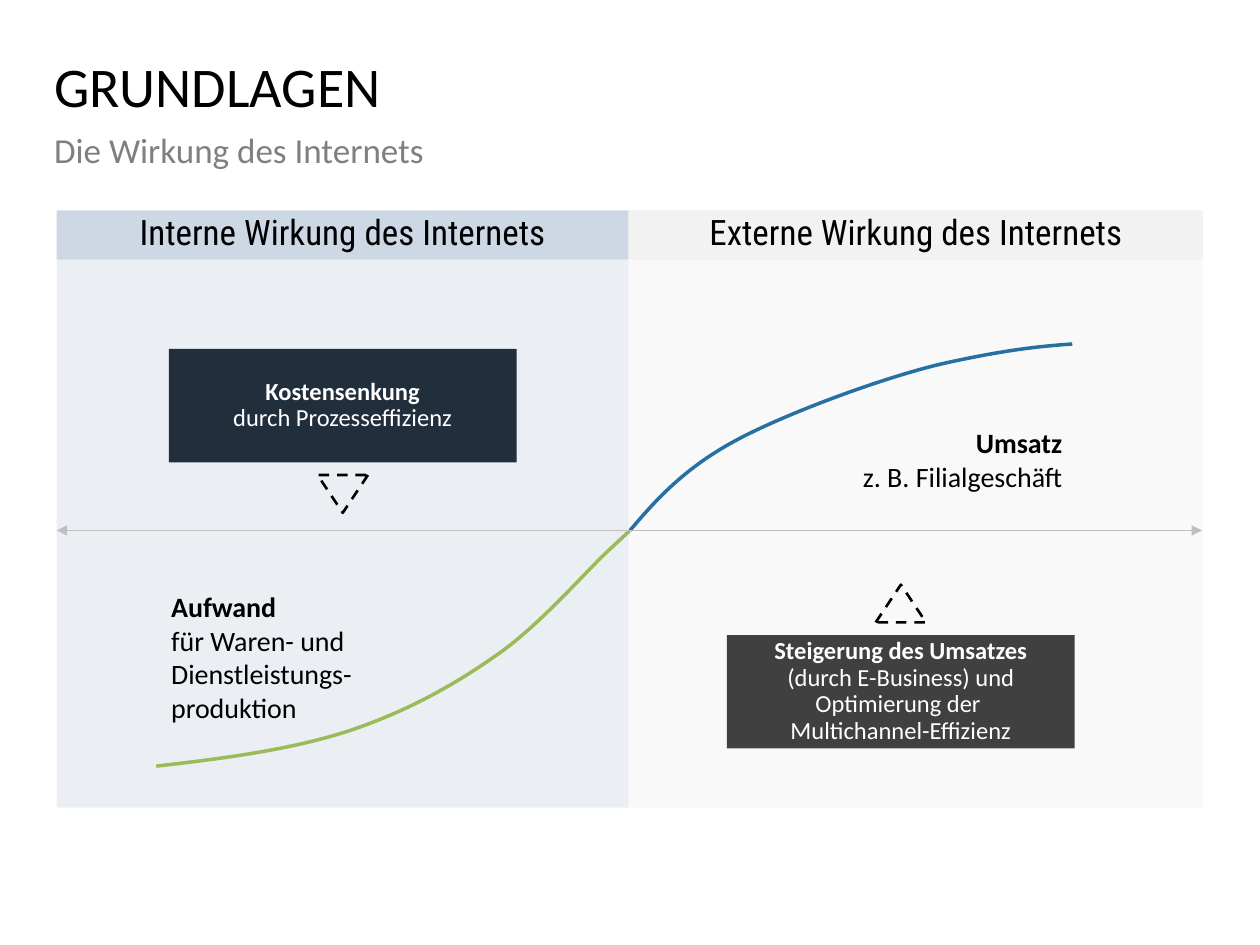
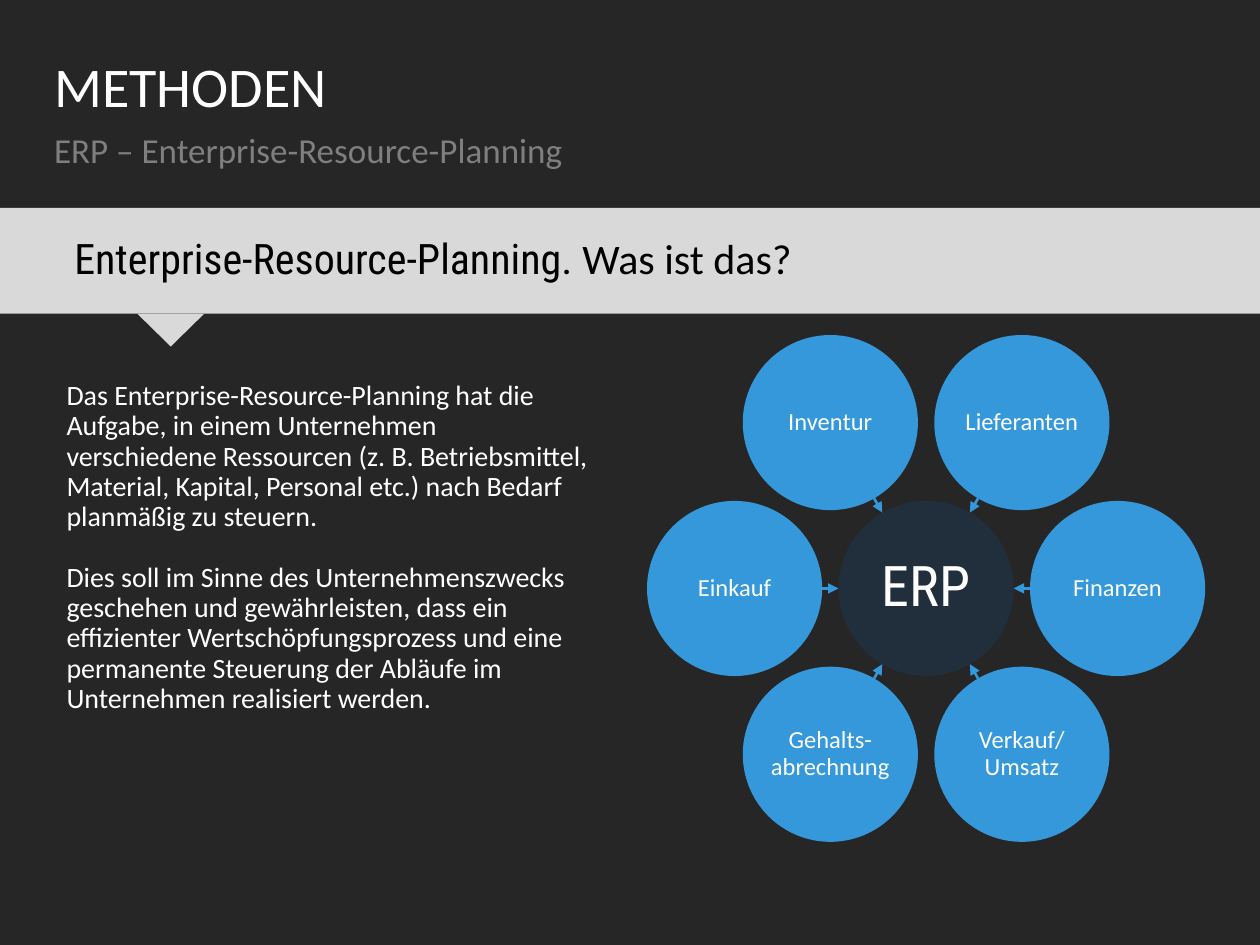
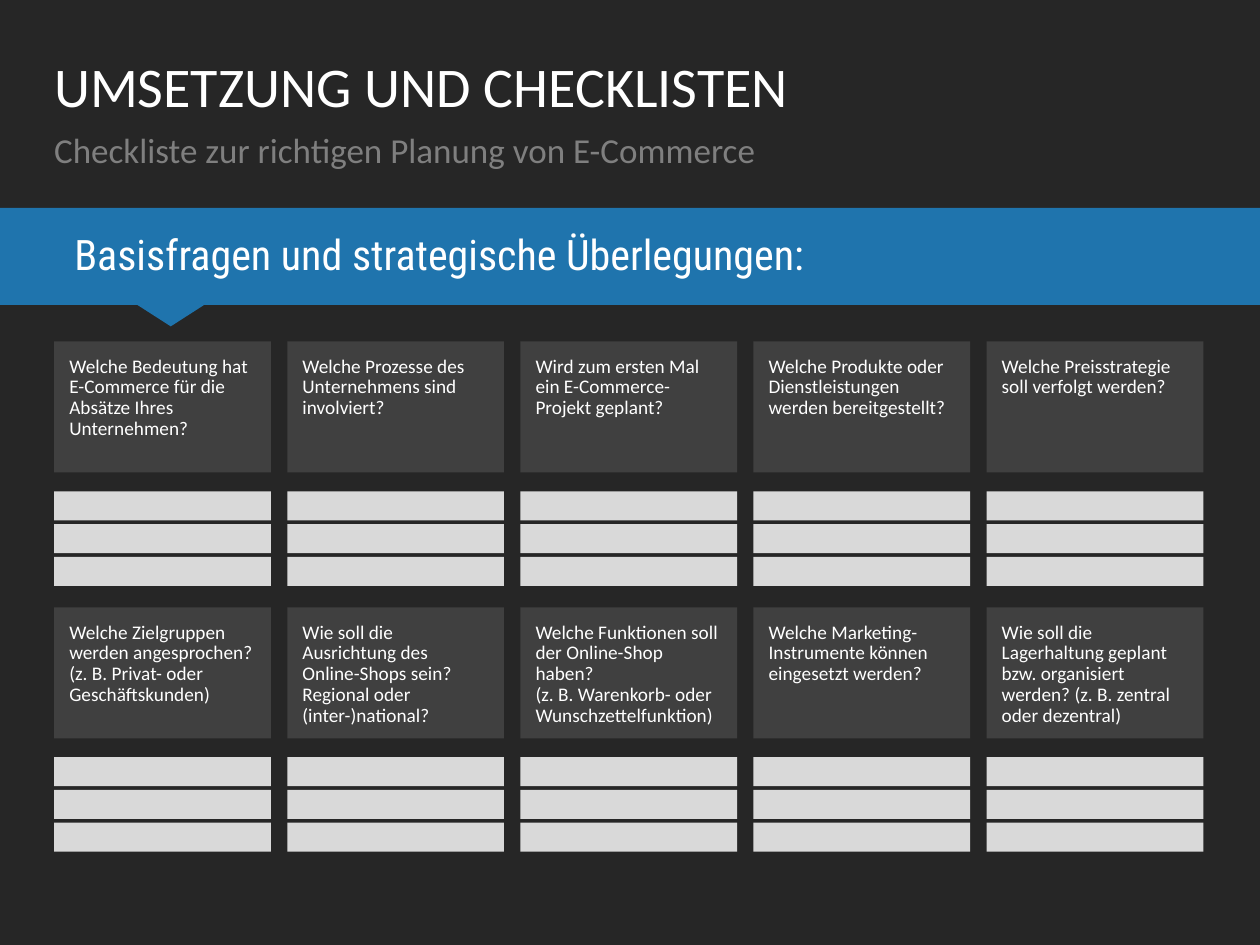
from math import cos, radians, sin

from lxml.etree import SubElement
from pptx import Presentation
from pptx.dml.color import RGBColor
from pptx.enum.dml import MSO_LINE_DASH_STYLE as Dash
from pptx.enum.shapes import MSO_CONNECTOR as Connector, MSO_SHAPE as Shape
from pptx.enum.text import MSO_ANCHOR as Anchor, MSO_AUTO_SIZE as AutoSize, PP_ALIGN as Align
from pptx.oxml.ns import qn
from pptx.util import Inches, Pt

COLORS = {
    "white": "FFFFFF", "black": "000000", "night": "262626", "card": "404040",
    "subtitle": "7F7F7F", "axis": "BFBFBF", "light": "D9D9D9", "external": "F2F2F2",
    "internal": "CDD8E4", "navy": "212E3C", "sky": "3498DB", "blue": "1F74AD",
    "revenue": "2670A2", "expense": "9BBB59",
}
BODY_FONT = "Calibri"
ACCENT_FONT = "Roboto Condensed"
TITLE_LEFT, TITLE_WIDTH = 0.43, 9.13
BAND_TOP = 1.65


def rgb(name):
    """Return the colour stored under a name."""
    return RGBColor.from_string(COLORS[name])


def write_text(shape, paragraphs, size, color, font=BODY_FONT, align=Align.LEFT,
               anchor=Anchor.TOP, spacing=1.0, gap=0, margins=(0, 0)):
    """Fill a shape with paragraphs, each a string or a list of (text, format) runs."""
    frame = shape.text_frame
    frame.word_wrap = True
    frame.auto_size = AutoSize.NONE
    frame.vertical_anchor = anchor
    frame.margin_left = frame.margin_right = Inches(margins[0])
    frame.margin_top = frame.margin_bottom = Inches(margins[1])
    for index, runs in enumerate(paragraphs):
        paragraph = frame.add_paragraph() if index else frame.paragraphs[0]
        paragraph.alignment = align
        paragraph.line_spacing = spacing
        paragraph.space_before = Pt(gap if index else 0)
        for text, style in [(runs, {})] if isinstance(runs, str) else runs:
            for number, part in enumerate(text.split("\n")):
                if number:
                    paragraph.add_line_break()
                run = paragraph.add_run()
                run.text = part
                run.font.size = Pt(size)
                run.font.name = style.get("font", font)
                run.font.bold = style.get("bold", False)
                run.font.color.rgb = rgb(color)


def headed(heading, detail):
    """Return a bold heading paragraph followed by a plain one."""
    return [[(heading, {"bold": True})], detail]


def add_text(slide, box, paragraphs, **style):
    """Add a text box."""
    label = slide.shapes.add_textbox(*map(Inches, box))
    write_text(label, paragraphs, **style)


def add_panel(slide, box, fill, kind=Shape.RECTANGLE, opacity=None):
    """Add a flat filled shape without an outline."""
    panel = slide.shapes.add_shape(kind, *map(Inches, box))
    panel.shadow.inherit = False
    panel.line.fill.background()
    panel.fill.solid()
    panel.fill.fore_color.rgb = rgb(fill)
    if opacity is not None:
        tint = panel._element.spPr.find(".//" + qn("a:srgbClr"))
        SubElement(tint, qn("a:alpha")).set("val", str(opacity * 1000))
    return panel


def add_marker(slide, left, top, rotation=0):
    """Add a dashed triangle outline."""
    marker = slide.shapes.add_shape(Shape.ISOSCELES_TRIANGLE, *map(Inches, (left, top, 0.4, 0.3)))
    marker.shadow.inherit = False
    marker.rotation = rotation
    marker.fill.background()
    marker.line.color.rgb = rgb("black")
    marker.line.width = Pt(1.5)
    marker.line.dash_style = Dash.DASH


def add_arrow(slide, start, end, color, width, ends=("tailEnd",)):
    """Add a straight line with triangular arrowheads at the given ends."""
    arrow = slide.shapes.add_connector(Connector.STRAIGHT, *map(Inches, (*start, *end)))
    arrow.line.color.rgb = rgb(color)
    arrow.line.width = Pt(width)
    properties = arrow._element.spPr
    for end_name in ends:
        SubElement(properties.find(qn("a:ln")), qn("a:" + end_name)).set("type", "triangle")
    SubElement(properties, qn("a:effectLst"))


def add_curve(slide, points, color):
    """Add an open Bézier curve from a start point and triples of control points."""
    start, *controls = [tuple(map(Inches, point)) for point in points]
    builder = slide.shapes.build_freeform(*start)
    builder.add_line_segments(controls, close=False)
    curve = builder.convert_to_shape()
    curve.shadow.inherit = False
    curve.fill.background()
    curve.line.color.rgb = rgb(color)
    curve.line.width = Pt(2)
    outline = curve._element.find(".//" + qn("a:path"))
    segments = outline.findall(qn("a:lnTo"))
    for first in range(0, len(segments), 3):
        bezier = SubElement(outline, qn("a:cubicBezTo"))
        for segment in segments[first:first + 3]:
            bezier.append(segment[0])
            outline.remove(segment)


def add_titled_slide(deck, title, subtitle, background="night", title_color="white"):
    """Add a slide with its background, title and subtitle."""
    slide = deck.slides.add_slide(deck.slide_layouts[5])
    slide.background.fill.solid()
    slide.background.fill.fore_color.rgb = rgb(background)
    heading = slide.shapes.title
    heading.left, heading.top, heading.width, heading.height = map(
        Inches, (TITLE_LEFT, 0.47, TITLE_WIDTH, 0.59))
    write_text(heading, [title], size=32, color=title_color, spacing=0.9)
    add_text(slide, (TITLE_LEFT, 1.06, TITLE_WIDTH, 0.59), [subtitle],
             size=20, color="subtitle", spacing=0.9)
    return slide


def add_band(slide, runs, height, pointer_height, fill, color):
    """Add a full-width band with a pointer below it."""
    band = add_panel(slide, (0, BAND_TOP, 10, height), fill)
    write_text(band, [runs], size=24, color=color, font=ACCENT_FONT,
               anchor=Anchor.MIDDLE, spacing=0.9, margins=(0.59, 0.05))
    pointer = add_panel(slide, (1.09, BAND_TOP + height, 0.53, pointer_height),
                        fill, Shape.ISOSCELES_TRIANGLE)
    pointer.rotation = 180


def add_effect_box(slide, left, top, fill, heading, detail):
    """Add a dark box naming an effect."""
    effect = add_panel(slide, (left, top, 2.76, 0.9), fill)
    write_text(effect, headed(heading, detail), size=14, color="white", align=Align.CENTER,
               anchor=Anchor.MIDDLE, spacing=0.9, margins=(0.04, 0.04))


def add_circle(slide, center, diameter, fill, text, **style):
    """Add a labelled circle around a centre."""
    box = (center[0] - diameter / 2, center[1] - diameter / 2, diameter, diameter)
    circle = add_panel(slide, box, fill, Shape.OVAL)
    write_text(circle, [text], color="white", align=Align.CENTER, anchor=Anchor.MIDDLE,
               spacing=0.9, **style)


def add_wheel(slide, center, hub, departments):
    """Add a hub with departments around it and arrows pointing inwards."""
    diameter, orbit = 1.39, 1.52

    def at(angle, radius):
        """Return the point at an angle and radius from the hub."""
        return (center[0] + radius * cos(radians(angle)),
                center[1] + radius * sin(radians(angle)))

    add_circle(slide, center, diameter, "navy", hub, size=32, font=ACCENT_FONT)
    step = 360 / len(departments)
    for index, department in enumerate(departments):
        add_circle(slide, at(index * step, orbit), diameter, "sky", department, size=14)
    for index in range(len(departments)):
        angle = index * step
        add_arrow(slide, at(angle, orbit - diameter / 2), at(angle, diameter / 2), "sky", 1.5)


def add_question(slide, left, top, paragraphs):
    """Add a question card with three answer lines below it."""
    width = 1.72
    card = add_panel(slide, (left, top, width, 1.04), "card")
    write_text(card, paragraphs, size=11, color="white", spacing=0.9, margins=(0.12, 0.12))
    for line in range(3):
        add_panel(slide, (left, top + 1.19 + line * 0.26, width, 0.23), "light")


def build_basics(deck):
    """Build the slide on the internal and external effect of the internet."""
    slide = add_titled_slide(deck, "GRUNDLAGEN", "Die Wirkung des Internets", "white", "black")
    halves = [
        (0.45, 4.54, "internal", "Interne Wirkung des Internets"),
        (4.99, 4.56, "external", "Externe Wirkung des Internets"),
    ]
    for left, width, fill, heading in halves:
        add_panel(slide, (left, 2.06, width, 4.35), fill, opacity=40)
        header = add_panel(slide, (left, 1.67, width, 0.39), fill)
        write_text(header, [heading], size=20, color="black", font=ACCENT_FONT,
                   align=Align.CENTER)
    add_curve(slide, [(1.24, 6.08), (1.77, 6.02), (2.31, 5.95), (2.77, 5.8),
                      (3.22, 5.65), (3.6, 5.44), (3.94, 5.2),
                      (4.29, 4.96), (4.67, 4.51), (4.85, 4.35),
                      (5.02, 4.19), (5, 4.21), (4.98, 4.23)], "expense")
    add_curve(slide, [(5, 4.21), (5.22, 3.95), (5.45, 3.7), (5.87, 3.48),
                      (6.29, 3.26), (7.06, 2.98), (7.51, 2.88),
                      (7.97, 2.78), (8.23, 2.75), (8.51, 2.73)], "revenue")
    label_style = {"size": 16, "color": "black", "margins": (0.1, 0.05)}
    add_text(slide, (1.26, 4.63, 2.18, 1.18),
             headed("Aufwand", "für Waren- und Dienstleistungs-produktion"), **label_style)
    add_text(slide, (6.67, 3.33, 1.86, 0.64),
             headed("Umsatz", "z. B. Filialgeschäft"), align=Align.RIGHT, **label_style)
    add_effect_box(slide, 1.34, 2.77, "navy", "Kostensenkung", "durch Prozesseffizienz")
    add_marker(slide, 2.52, 3.77, rotation=180)
    add_arrow(slide, (9.54, 4.21), (0.45, 4.21), "axis", 0.75, ("headEnd", "tailEnd"))
    add_effect_box(slide, 5.77, 5.04, "card", "Steigerung des Umsatzes",
                   "(durch E-Business) und Optimierung der \nMultichannel-Effizienz")
    add_marker(slide, 6.95, 4.64)


def build_methods(deck):
    """Build the slide on enterprise resource planning."""
    slide = add_titled_slide(deck, "METHODEN", "ERP – Enterprise-Resource-Planning")
    add_text(slide, (0.43, 2.98, 4.34, 2.77), [
        "Das Enterprise-Resource-Planning hat die Aufgabe, in einem Unternehmen verschiedene "
        "Ressourcen (z. B. Betriebsmittel, Material, Kapital, Personal etc.) nach Bedarf "
        "planmäßig zu steuern.",
        "Dies soll im Sinne des Unternehmenszwecks geschehen und gewährleisten, dass ein "
        "effizienter Wertschöpfungsprozess und eine permanente Steuerung der Abläufe im "
        "Unternehmen realisiert werden.",
    ], size=16, color="white", spacing=0.9, gap=17.5, margins=(0.1, 0.05))
    add_wheel(slide, (7.35, 4.67), "ERP", [
        "Finanzen", "Verkauf/ Umsatz", "Gehalts-abrechnung",
        "Einkauf", "Inventur", "Lieferanten",
    ])
    add_band(slide, [("Enterprise-Resource-Planning. ", {}),
                     ("Was ist das?", {"font": BODY_FONT})], 0.84, 0.26, "light", "black")


def build_checklist(deck):
    """Build the slide with the planning questions."""
    slide = add_titled_slide(deck, "UMSETZUNG UND CHECKLISTEN",
                             "Checkliste zur richtigen Planung von E-Commerce")
    questions = [
        [
            ["Welche Bedeutung hat E-Commerce für die Absätze Ihres Unternehmen?"],
            ["Welche Prozesse des Unternehmens sind involviert?"],
            ["Wird zum ersten Mal ein E-Commerce-Projekt geplant?"],
            ["Welche Produkte oder Dienstleistungen werden bereitgestellt?"],
            ["Welche Preisstrategie soll verfolgt werden?"],
        ],
        [
            ["Welche Zielgruppen werden angesprochen?", "(z. B. Privat- oder Geschäftskunden)"],
            ["Wie soll die Ausrichtung des Online-Shops sein? Regional oder \n(inter-)national?"],
            ["Welche Funktionen soll der Online-Shop haben?",
             "(z. B. Warenkorb- oder Wunschzettelfunktion)"],
            ["Welche Marketing-Instrumente können eingesetzt werden?"],
            ["Wie soll die Lagerhaltung geplant bzw. organisiert werden? "
             "(z. B. zentral oder dezentral)"],
        ],
    ]
    for row, row_questions in enumerate(questions):
        for column, paragraphs in enumerate(row_questions):
            add_question(slide, TITLE_LEFT + column * 1.85, 2.71 + row * 2.11, paragraphs)
    add_band(slide, "Basisfragen und strategische Überlegungen:", 0.77, 0.17, "blue", "white")


def main():
    """Build the deck and save it."""
    deck = Presentation()
    deck.slide_width, deck.slide_height = Inches(10), Inches(7.5)
    build_basics(deck)
    build_methods(deck)
    build_checklist(deck)
    deck.save("out.pptx")


if __name__ == "__main__":
    main()
